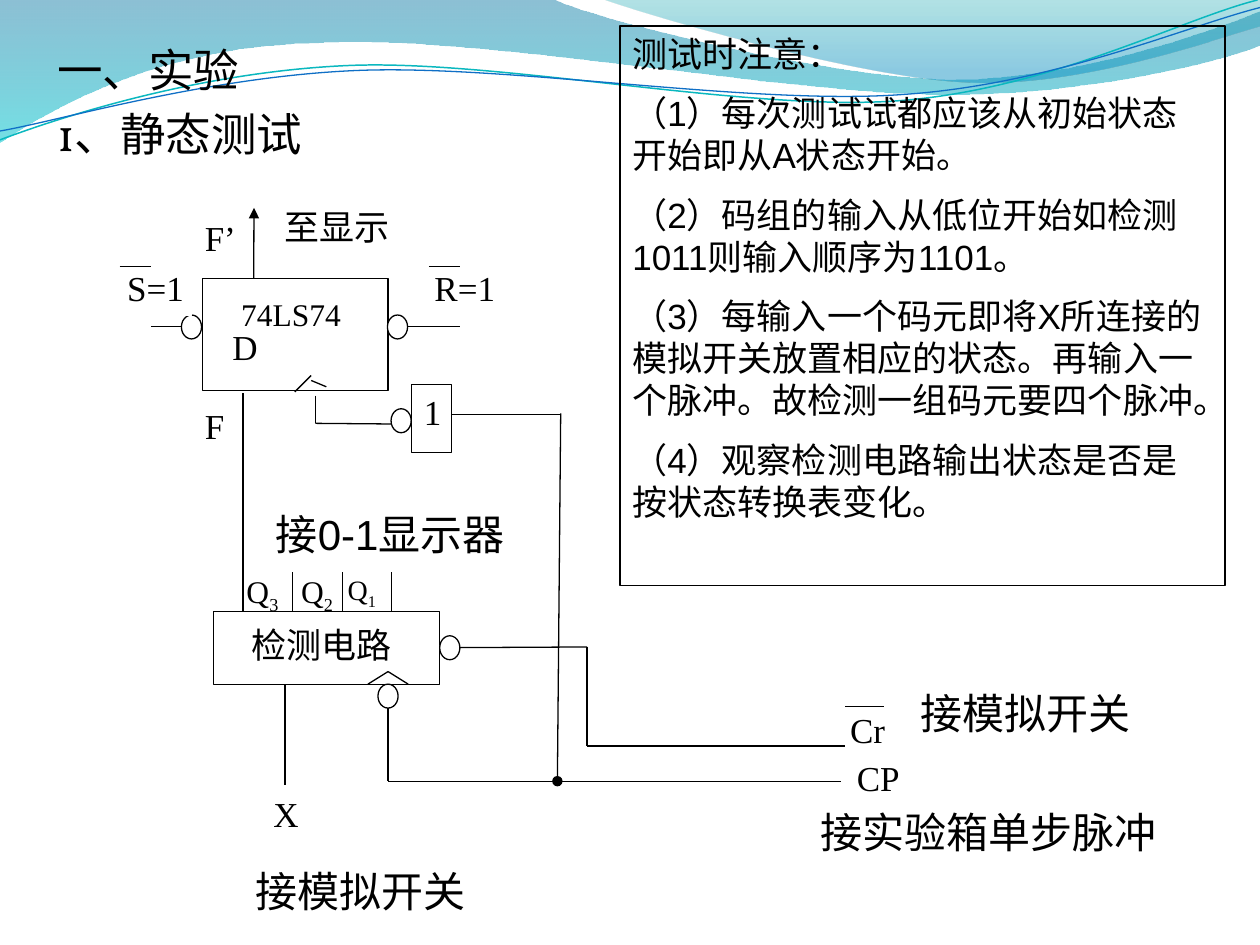
from itertools import pairwise

from lxml.etree import Element, SubElement
from pptx import Presentation
from pptx.dml.color import RGBColor
from pptx.enum.shapes import MSO_CONNECTOR, MSO_SHAPE
from pptx.enum.text import MSO_ANCHOR, MSO_AUTO_SIZE, PP_ALIGN
from pptx.oxml.ns import qn
from pptx.util import Inches, Pt

BLACK = RGBColor(0x00, 0x00, 0x00)
WHITE = RGBColor(0xFF, 0xFF, 0xFF)
DEEP_BLUE = RGBColor(0x00, 0x74, 0xA1)
AQUA = RGBColor(0x00, 0xC6, 0xCF)
TEAL = RGBColor(0x00, 0xA1, 0xA9)
SKY_BLUE = RGBColor(0x00, 0x8B, 0xBF)
CYAN_LINE = RGBColor(0x0A, 0xB8, 0xBF)
BLUE_LINE = RGBColor(0x0F, 0x6F, 0xC6)

presentation = Presentation()
presentation.slide_width, presentation.slide_height = Inches(10), Inches(7.5)
slide = presentation.slides.add_slide(presentation.slide_layouts[5])
shapes = slide.shapes

# All places are given on a grid of 100 columns by 75 rows
COLUMN = presentation.slide_width / 100
ROW = presentation.slide_height / 75
GRID = (COLUMN, ROW, COLUMN, ROW)

SERIF, SANS, HEADING = "Times New Roman", "Arial", "Vollkorn"
NO_MARGINS = dict.fromkeys(("margin_left", "margin_top", "margin_right", "margin_bottom"), 0)
TOP_WRAPPED = {"word_wrap": True, "vertical_anchor": MSO_ANCHOR.TOP}


def add_box(kind, place, fill=None, line=None):
    """Add a preset shape on the grid, with a thin line and no shadow."""
    shape = shapes.add_shape(kind, *(round(n * unit) for n, unit in zip(place, GRID)))
    shape.shadow.inherit = False
    for part, color in ((shape.fill, fill), (shape.line.fill, line)):
        if color is None:
            part.background()
        else:
            part.solid()
            part.fore_color.rgb = color
    shape.line.width = Pt(0.75)
    return shape


def write(shape, lines, font, size, align=PP_ALIGN.LEFT, gap=0, frame_format=None):
    """Write one paragraph a line; text after "_" is a subscript."""
    frame = shape.text_frame
    for name, value in {**TOP_WRAPPED, **(frame_format or {})}.items():
        setattr(frame, name, value)
    for index, line in enumerate(lines):
        paragraph = frame.paragraphs[0] if index == 0 else frame.add_paragraph()
        paragraph.alignment = align
        paragraph.space_before = Pt(gap if index else 0)
        for part_number, part in enumerate(line.split("_")):
            run = paragraph.add_run()
            run.text = part
            run.font.name, run.font.size = font, Pt(size)
            run.font.color.rgb = BLACK
            if part_number:
                run._r.get_or_add_rPr().set("baseline", "-25000")


# Waves across the top: a pair is a straight step, six numbers a cubic curve
waves = [
    ([(0, 0), (44, 0), (47.6, 1.7, 66.4, 6.3, 75.8, 6.3), (85.3, 6.3, 95.8, 2.6, 100, 0.9),
      (100, 3.6), (98.3, 4.4, 87, 7.6, 74.6, 7.5), (62.2, 7.5, 38.2, 2.8, 25.7, 3.4),
      (12.9, 3.6, 4.6, 8.3, 0, 11.3)], [(0, DEEP_BLUE, 45), (1, AQUA, 55)], None),
    ([(47.9, 0), (50.9, 1.1, 68.2, 6.2, 76.9, 6.5), (85.6, 6.9, 96.1, 3.2, 100, 2.1),
      (100, 0)], [(0, TEAL, 30), (0.8, SKY_BLUE, 45)], None),
    ([(0, 11.1), (4.8, 9.3, 15.8, 5.7, 27.7, 5.2), (39.5, 4.7, 59.3, 8.9, 71.3, 8),
      (83.3, 7.1, 93.8, 1.5, 99.8, 0)], None, (CYAN_LINE, 0.85)),
    ([(0, 10.4), (4.7, 9.6, 16.4, 6.1, 28.3, 5.6), (40.3, 5.1, 59.7, 8.4, 71.7, 7.5),
      (83.6, 6.7, 94.1, 2.1, 100, 0.6)], None, (BLUE_LINE, 0.75)),
]
for outline, gradient, line in waves:
    points = [(x * COLUMN, y * ROW) for step in outline for x, y in zip(step[::2], step[1::2])]
    builder = shapes.build_freeform(*points[0])
    builder.add_line_segments(points[1:], close=gradient is not None)
    wave = builder.convert_to_shape()
    wave.shadow.inherit = False

    # Join each three steps of a curve into one cubic segment
    segments = iter(list(wave._element.spPr.iter(qn("a:lnTo"))))
    for step in outline[1:]:
        parts = [next(segments) for _ in range(len(step) // 2)]
        if len(parts) == 3:
            curve = Element(qn("a:cubicBezTo"))
            parts[0].addprevious(curve)
            for part in parts:
                curve.append(part[0])
                part.getparent().remove(part)

    if gradient:
        wave.line.fill.background()
        wave.fill.gradient()
        wave.fill.gradient_angle = 270
        for stop, (position, color, _) in zip(wave.fill.gradient_stops, gradient):
            stop.position = position
            stop.color.rgb = color
        colors = wave._element.spPr.iter(qn("a:srgbClr"))
        for element, (_, _, opacity) in zip(colors, gradient):
            SubElement(element, qn("a:alpha"), val=str(opacity * 1000))
    else:
        wave.fill.background()
        wave.line.color.rgb, wave.line.width = line[0], Pt(line[1])

# Heading, brought in front of the waves
title = shapes.title
title.left, title.top, title.width, title.height = (
    round(n * unit) for n, unit in zip((3.54, 2.84, 90, 13.4), GRID))
shapes._spTree.append(title._element)
write(title, ["一、实验", "1、静态测试"], HEADING, 26, gap=5.2,
      frame_format={"auto_size": MSO_AUTO_SIZE.NONE})

# Circuit blocks: place, text, left and top margins in grid units
blocks = [
    ((16.1, 22.1, 14.7, 8.9), "D", 2.35, 3.75),
    ((32.65, 30.5, 3.2, 5.4), "1", 1, 0.5),
    ((16.94, 48.54, 17.95, 5.8), None, 0, 0),
]
for place, text, left, top in blocks:
    block = add_box(MSO_SHAPE.RECTANGLE, place, WHITE, BLACK)
    if text:
        write(block, [text], SERIF, 20, frame_format={
            "margin_left": round(left * COLUMN), "margin_top": round(top * ROW)})

# Inversion bubbles
for left, top in ((14.4, 25), (30.75, 25), (31.04, 32.44), (34.9, 50.46), (30, 54.3)):
    add_box(MSO_SHAPE.OVAL, (left, top, 1.6, 1.9), WHITE, BLACK)

# White signal labels
labels = [
    ("F’", (15.64, 17.2, 3.7, 3.8), 20), ("检测电路", (18.6, 49.5, 13.9, 3.9), 20),
    ("74LS74", (18.2, 23.4, 9.8, 2.4), 18), ("F", (15.34, 32.1, 3.4, 3.4), 20),
    ("至显示", (20.95, 16.3, 11.6, 3.4), 20), ("X", (21, 62.9, 3.4, 3.4), 20),
    ("CP", (67.55, 60.06, 4.3, 3.4), 20), ("Cr", (66.76, 56.2, 4.2, 3.4), 20),
    ("R=1", (34.04, 21.14, 5.7, 3.8), 20), ("S=1", (9.5, 21.14, 5.7, 3.9), 20),
]
for text, place, size in labels:
    label = add_box(MSO_SHAPE.RECTANGLE, place, WHITE, WHITE)
    write(label, [text], SERIF, size, PP_ALIGN.CENTER, frame_format=NO_MARGINS)

# Wires, each a run of corner points with an optional end mark
wires = [
    ([(20.14, 22.1), (20.16, 16.5)], "triangle"),           # F' to the display
    ([(24.7, 29.8), (23.4, 31.1)], None),                   # clock mark, flip-flop
    ([(24.7, 30.2), (25.9, 30.7)], None),
    ([(25.04, 31.4), (25.04, 33.6), (31.1, 33.65)], None),  # inverter to clock
    ([(29.2, 54.3), (30.8, 53.3), (32.4, 54.3)], None),     # clock mark, detector
    ([(35.8, 32.9), (44.5, 32.9)], None),                   # inverter input
    ([(44.5, 32.8), (44.24, 62)], "oval"),
    ([(30.8, 56.2), (30.8, 62), (66.75, 62)], None),        # CP
    ([(36.5, 51.4), (46.6, 51.35), (46.6, 59.2), (67.1, 59.2)], None),  # Cr
    ([(22.63, 54.3), (22.63, 62.3)], None),                 # X
    ([(32.4, 25.93), (36.5, 25.93)], None),                 # R
    ([(14.4, 25.93), (12, 25.93)], None),                   # S
    ([(19.28, 48.5), (19.28, 31.2)], None),                 # F
]
overbars = [(34.04, 21.14, 2.5), (9.5, 21.14, 2.5), (67.1, 56.1, 3.1)]
wires += [([(x, y), (x + length, y)], None) for x, y, length in overbars]
OUTPUT_LEFT, OUTPUT_STEP = 19.28, 3.94
wires += [([(OUTPUT_LEFT + n * OUTPUT_STEP, 45.4), (OUTPUT_LEFT + n * OUTPUT_STEP, 48.5)], None)
          for n in (1, 2, 3)]
for corners, end_mark in wires:
    for (x1, y1), (x2, y2) in pairwise(corners):
        wire = shapes.add_connector(MSO_CONNECTOR.STRAIGHT, round(x1 * COLUMN), round(y1 * ROW),
                                    round(x2 * COLUMN), round(y2 * ROW))
        wire.line.color.rgb, wire.line.width = BLACK, Pt(0.75)
        properties = wire._element.spPr
        SubElement(properties, qn("a:effectLst"))
        if end_mark:
            SubElement(properties.find(qn("a:ln")), qn("a:tailEnd"), type=end_mark)

# Captions and detector outputs
CAPTION = (SANS, 24, PP_ALIGN.LEFT, {"auto_size": MSO_AUTO_SIZE.SHAPE_TO_FIT_TEXT})
captions = [
    ("接实验箱单步脉冲", (64.15, 63.5, 33.1, 5), CAPTION),
    ("接模拟开关", (19.3, 68.2, 24.4, 5), CAPTION),
    ("接模拟开关", (72.04, 54.04, 24.4, 5), CAPTION),
    ("接0-1显示器", (20.9, 39.9, 22.8, 5), CAPTION),
]
for n, (text, width, size) in enumerate((("Q_3", 3.1, 18), ("Q_2", 3.9, 18), ("Q_1", 3.1, 16))):
    captions.append((text, (OUTPUT_LEFT + n * OUTPUT_STEP, 45.4, width, 3.1),
                     (SERIF, size, PP_ALIGN.CENTER, NO_MARGINS)))
for text, place, (font, size, align, frame_format) in captions:
    caption = shapes.add_textbox(*(round(n * unit) for n, unit in zip(place, GRID)))
    write(caption, [text], font, size, align, frame_format=frame_format)

# Test notes
notes = [
    "测试时注意：",
    "（1）每次测试试都应该从初始状态开始即从A状态开始。",
    "（2）码组的输入从低位开始如检测1011则输入顺序为1101。",
    "（3）每输入一个码元即将X所连接的模拟开关放置相应的状态。再输入一个脉冲。故检测一组码元要四个脉冲。",
    "（4）观察检测电路输出状态是否是按状态转换表变化。",
]
notes_box = add_box(MSO_SHAPE.RECTANGLE, (49.2, 2.06, 48.04, 44.4), line=BLACK)
write(notes_box, notes, SANS, 20, gap=10)

presentation.save("out.pptx")
